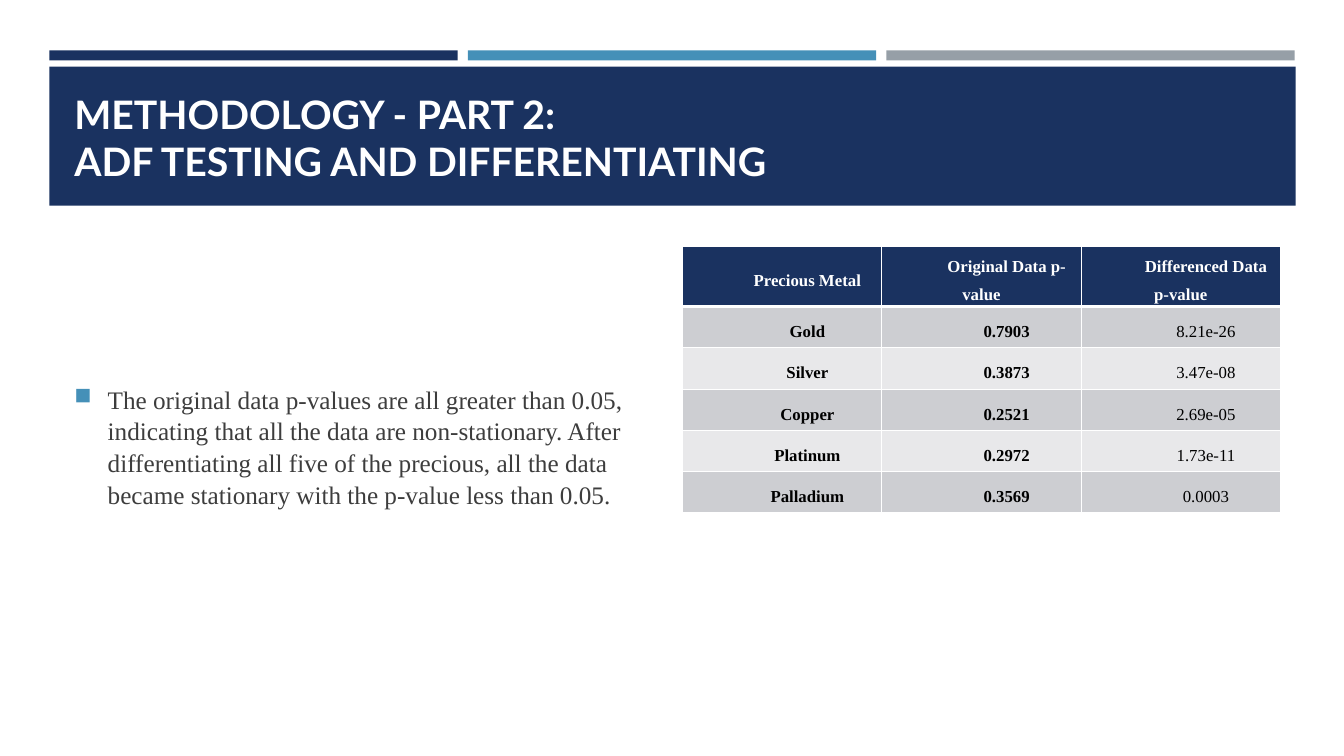
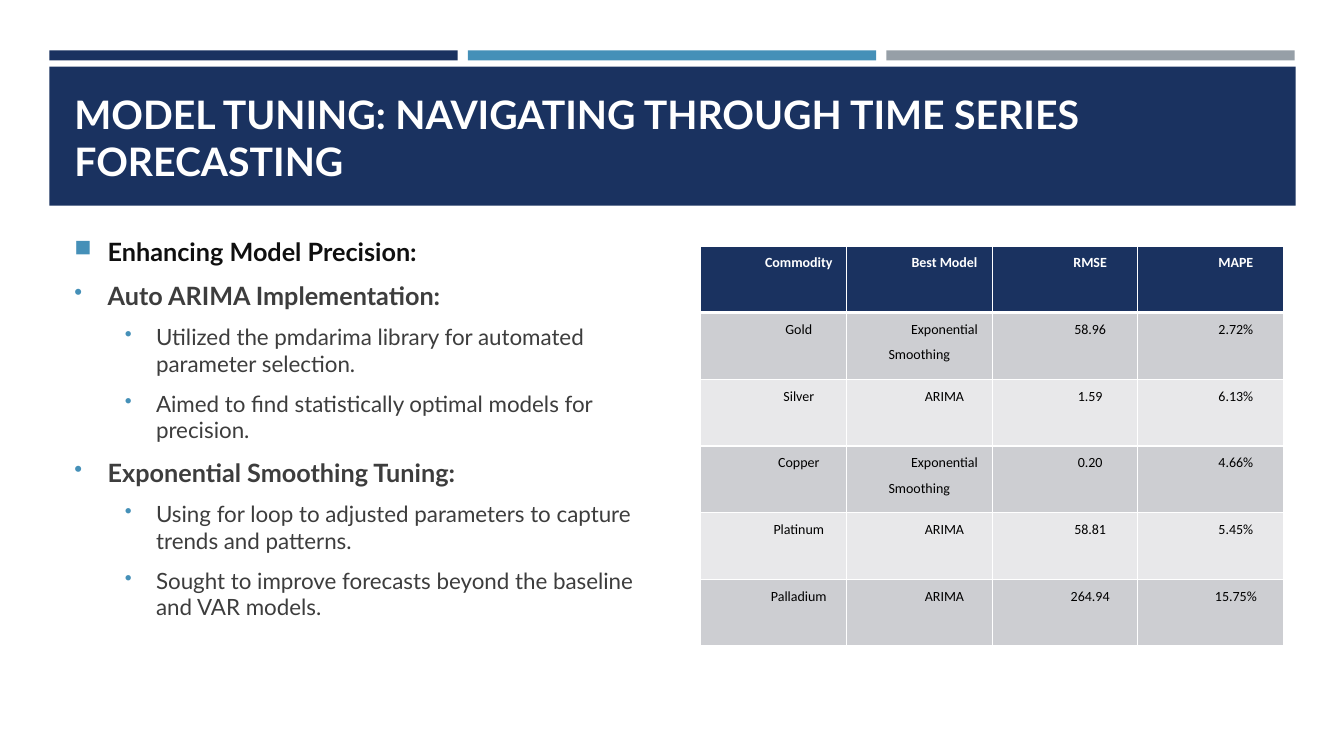
from lxml.etree import SubElement
from pptx import Presentation
from pptx.dml.color import RGBColor
from pptx.enum.shapes import MSO_SHAPE
from pptx.enum.text import MSO_ANCHOR, PP_ALIGN
from pptx.oxml.ns import qn
from pptx.util import Inches, Pt

NAVY = RGBColor(0x1A, 0x32, 0x60)
BLUE = RGBColor(0x45, 0x90, 0xB8)
GRAY = RGBColor(0x96, 0x9F, 0xA7)
WHITE = RGBColor(0xFF, 0xFF, 0xFF)
BLACK = RGBColor(0, 0, 0)
INK = RGBColor(0x0F, 0x0F, 0x0F)
TEXT = RGBColor(0x3D, 0x3D, 0x3D)
ROW_FILLS = [RGBColor(0xE8, 0xE8, 0xEA), RGBColor(0xCD, 0xCE, 0xD2)]


def write(p, text, size=18, font="Lato", color=TEXT, bold=False, align=None,
          left=0, indent=0, line=None, before=0, after=0, bullet=None):
    p.text = text
    p.alignment = align
    p.line_spacing = line
    p.space_before, p.space_after = Pt(before), Pt(after)
    for r in p.runs:
        r.font.size, r.font.name, r.font.bold = Pt(size), font, bold
        r.font.color.rgb = color
    pPr = p._p.get_or_add_pPr()
    pPr.set("marL", str(Inches(left)))
    pPr.set("indent", str(Inches(indent)))
    if bullet:
        clr = SubElement(pPr, qn("a:buClr"))
        SubElement(clr, qn("a:srgbClr"), val=str(BLUE))
        SubElement(pPr, qn("a:buSzPct"), val="92000")
        SubElement(pPr, qn("a:buChar"), char=bullet)


def border(cell, edge, width):
    ln = SubElement(cell._tc.get_or_add_tcPr(), qn("a:" + edge), w=str(Pt(width)))
    fill = SubElement(ln, qn("a:solidFill"))
    SubElement(fill, qn("a:srgbClr"), val=str(WHITE))


# Frame shared by the slides: left, top, width, height, colour
BANDS = [(0.49 + 4.15 * i, 0.5, 4.05, 0.1, c) for i, c in enumerate([NAVY, BLUE, GRAY])]
BANDS.append((0.49, 0.66, 12.36, 1.38, NAVY))

# Bullet levels
ITEM = dict(left=0.33, indent=-0.33, before=3.6, after=6, bullet="•")
HEAD = ITEM | dict(bold=True)
SUB = ITEM | dict(size=16, left=0.81, indent=-0.31, before=3.2)

# Slide content
SLIDES = [
    dict(
        title="METHODOLOGY - PART 2:\nADF TESTING AND DIFFERENTIATING",
        bottom=0.05,
        body=[("The original data p-values are all greater than 0.05, indicating that "
               "all the data are non-stationary. After differentiating all five of the "
               "precious, all the data became stationary with the p-value less than 0.05.",
               ITEM | dict(font="Times New Roman", bullet="■", line=1.05))],
        rows=[("Precious Metal", "Original Data p-value", "Differenced Data p-value"),
              ("Gold", "0.7903", "8.21e-26"),
              ("Silver", "0.3873", "3.47e-08"),
              ("Copper", "0.2521", "2.69e-05"),
              ("Platinum", "0.2972", "1.73e-11"),
              ("Palladium", "0.3569", "0.0003")],
        at=(6.77, 2.44, 5.93, 2.46), font="Times New Roman", size=12,
        bold_cols=2, inset=0.07, anchor=MSO_ANCHOR.MIDDLE),
    dict(
        title="MODEL TUNING: NAVIGATING THROUGH TIME SERIES FORECASTING",
        bottom=0.4,
        body=[("Enhancing Model Precision:", HEAD | dict(color=INK, bullet="■")),
              ("Auto ARIMA Implementation:", HEAD),
              ("Utilized the pmdarima library for automated parameter selection.", SUB),
              ("Aimed to find statistically optimal models for precision.", SUB),
              ("Exponential Smoothing Tuning:", HEAD),
              ("Using for loop to adjusted parameters to capture trends and patterns.", SUB),
              ("Sought to improve forecasts beyond the baseline and VAR models.", SUB)],
        rows=[("Commodity", "Best Model", "RMSE", "MAPE"),
              ("Gold", "Exponential Smoothing", "58.96", "2.72%"),
              ("Silver", "ARIMA", "1.59", "6.13%"),
              ("Copper", "Exponential Smoothing", "0.20", "4.66%"),
              ("Platinum", "ARIMA", "58.81", "5.45%"),
              ("Palladium", "ARIMA", "264.94", "15.75%")],
        at=(6.95, 2.44, 5.78, 3.97), font="Calibri", size=10,
        bold_cols=0, inset=0, anchor=MSO_ANCHOR.TOP),
]

prs = Presentation()
prs.slide_width, prs.slide_height = Inches(13.33), Inches(7.5)

for d in SLIDES:
    s = prs.slides.add_slide(prs.slide_layouts[6])

    # Bands
    for *at, color in BANDS:
        sp = s.shapes.add_shape(MSO_SHAPE.RECTANGLE, *map(Inches, at))
        sp.shadow.inherit = False
        sp.fill.solid()
        sp.fill.fore_color.rgb = color
        sp.line.fill.background()

    # Title
    tf = s.shapes.add_textbox(Inches(0.64), Inches(0.8), Inches(12.06), Inches(1.08)).text_frame
    tf.word_wrap, tf.vertical_anchor = True, MSO_ANCHOR.BOTTOM
    write(tf.paragraphs[0], d["title"], size=28, color=WHITE, bold=True)

    # Bullets
    tf = s.shapes.add_textbox(Inches(0.64), Inches(2.44), Inches(5.93), Inches(3.97)).text_frame
    tf.word_wrap, tf.vertical_anchor = True, MSO_ANCHOR.MIDDLE
    tf.margin_bottom = Inches(d["bottom"])
    for i, (text, style) in enumerate(d["body"]):
        write(tf.add_paragraph() if i else tf.paragraphs[0], text, **style)

    # Table
    rows = d["rows"]
    table = s.shapes.add_table(len(rows), len(rows[0]), *map(Inches, d["at"])).table
    for i, row in enumerate(rows):
        for j, text in enumerate(row):
            cell = table.cell(i, j)
            cell.margin_left = cell.margin_right = Inches(d["inset"])
            cell.margin_top = cell.margin_bottom = 0
            cell.vertical_anchor = d["anchor"]
            for edge in ("lnL", "lnR", "lnT", "lnB"):
                header_rule = (i, edge) in [(0, "lnB"), (1, "lnT")]
                border(cell, edge, 3 if header_rule else 1)
            cell.fill.solid()
            cell.fill.fore_color.rgb = ROW_FILLS[i % 2] if i else NAVY
            write(cell.text_frame.paragraphs[0], text, size=d["size"], font=d["font"],
                  color=BLACK if i else WHITE, bold=i == 0 or j < d["bold_cols"],
                  align=PP_ALIGN.CENTER, indent=0.5, line=1.5)

prs.save("out.pptx")
